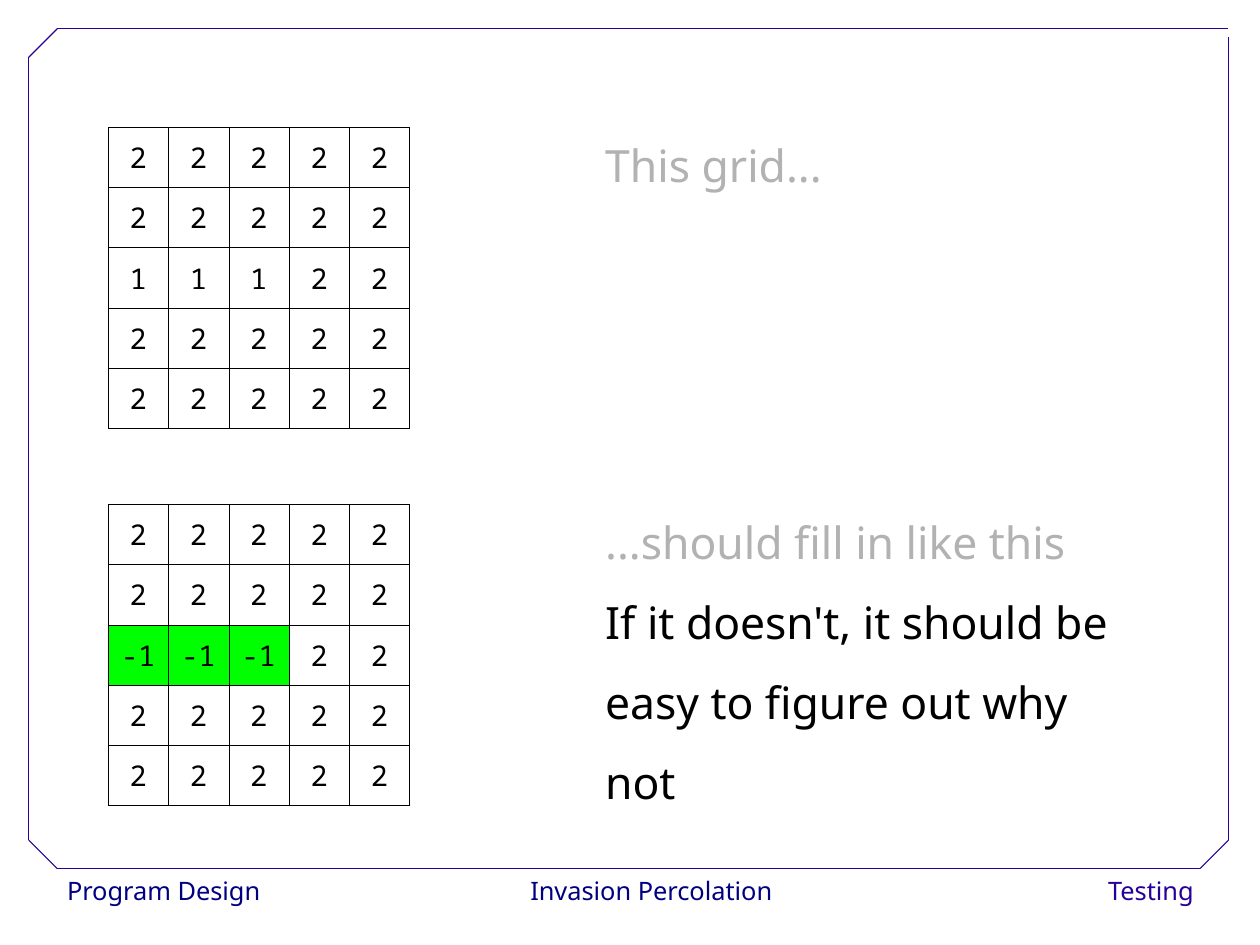
import pptx
import pptx.dml.color
import pptx.enum.shapes
import pptx.enum.text
import pptx.oxml.ns
import pptx.util
from lxml import etree

Cm = pptx.util.Cm
Pt = pptx.util.Pt
RGBColor = pptx.dml.color.RGBColor
Align = pptx.enum.text.PP_ALIGN

WHITE = RGBColor(0xFF, 0xFF, 0xFF)
BLACK = RGBColor(0x00, 0x00, 0x00)
GREY = RGBColor(0xB2, 0xB2, 0xB2)
NAVY = RGBColor(0x00, 0x00, 0x80)
PURPLE = RGBColor(0x28, 0x00, 0x99)
GREEN = RGBColor(0x00, 0xFF, 0x00)

LEFT, TOP, RIGHT, BOTTOM = 0.64, 0.64, 27.3, 19.3
CUT = 0.63
CELL = 1.34


class Deck:
    font = "Noto Sans"
    mono = "Noto Sans Mono"

    def __init__(self, width, height):
        self.prs = pptx.Presentation()
        self.prs.slide_width = Cm(width)
        self.prs.slide_height = Cm(height)
        self.slide = self.prs.slides.add_slide(self.prs.slide_layouts[6])

    def style(self, p, size, color, font, align=Align.LEFT, spacing=1.02):
        p.alignment = align
        p.line_spacing = spacing
        for r in p.runs:
            r.font.size = Pt(size)
            r.font.name = font
            r.font.color.rgb = color

    def footer(self, text, x, width, align, color):
        sp = self.slide.shapes.add_shape(
            pptx.enum.shapes.MSO_SHAPE.RECTANGLE,
            Cm(x), Cm(BOTTOM), Cm(width), Cm(1.02))
        sp.shadow.inherit = False
        sp.fill.solid()
        sp.fill.fore_color.rgb = WHITE
        sp.line.fill.background()
        tf = sp.text_frame
        tf.word_wrap = False
        tf.vertical_anchor = pptx.enum.text.MSO_ANCHOR.TOP
        tf.text = text
        self.style(tf.paragraphs[0], 16, color, self.font, align)

    def line(self, x1, y1, x2, y2):
        cxn = self.slide.shapes.add_connector(
            pptx.enum.shapes.MSO_CONNECTOR.STRAIGHT,
            Cm(x1), Cm(y1), Cm(x2), Cm(y2))
        cxn.line.color.rgb = PURPLE
        cxn.line.width = Pt(0.75)
        etree.SubElement(cxn._element.spPr, pptx.oxml.ns.qn("a:effectLst"))

    def text(self, x, y, width, height, lines):
        """Add a text box from (text, colour) pairs, one per paragraph."""
        box = self.slide.shapes.add_textbox(Cm(x), Cm(y), Cm(width), Cm(height))
        tf = box.text_frame
        tf.word_wrap = True
        tf.auto_size = pptx.enum.text.MSO_AUTO_SIZE.SHAPE_TO_FIT_TEXT
        tf.text = "\n".join(text for text, _ in lines)
        for p, (_, color) in zip(tf.paragraphs, lines):
            self.style(p, 28, color, self.font, spacing=1.5)

    def border(self, cell):
        qn = pptx.oxml.ns.qn
        tc_pr = cell._tc.get_or_add_tcPr()
        for side in ("a:lnL", "a:lnR", "a:lnT", "a:lnB"):
            ln = etree.SubElement(tc_pr, qn(side), w=str(Pt(0.06)))
            fill = etree.SubElement(ln, qn("a:solidFill"))
            etree.SubElement(fill, qn("a:srgbClr"), val=str(BLACK))

    def grid(self, x, y, values):
        """Add a table of square cells; negative values are filled green."""
        rows, cols = len(values), len(values[0])
        table = self.slide.shapes.add_table(
            rows, cols, Cm(x), Cm(y), Cm(cols * CELL), Cm(rows * CELL)).table
        table.first_row = False
        table.horz_banding = False
        for band in (*table.columns, *table.rows):
            if band in table.columns:
                band.width = Cm(CELL)
            else:
                band.height = Cm(CELL)
        for i, row in enumerate(values):
            for j, value in enumerate(row):
                cell = table.cell(i, j)
                cell.vertical_anchor = pptx.enum.text.MSO_ANCHOR.MIDDLE
                self.border(cell)
                if value < 0:
                    cell.fill.solid()
                    cell.fill.fore_color.rgb = GREEN
                else:
                    cell.fill.background()
                cell.text_frame.text = str(value)
                self.style(cell.text_frame.paragraphs[0], 18, BLACK,
                           self.mono, Align.CENTER)


def grid_values(filled):
    """Return a 5 by 5 grid of 2s with three filled cells in the middle row."""
    plain = [2] * 5
    return [plain, plain, [filled] * 3 + [2] * 2, plain, plain]


def main():
    deck = Deck(28, 21)

    deck.footer("Program Design", 1.24, 4.57, Align.LEFT, NAVY)
    deck.footer("Invasion Percolation", 11.63, 5.69, Align.CENTER, NAVY)
    deck.footer("Testing", 23.22, 3.56, Align.RIGHT, PURPLE)

    deck.line(LEFT + CUT, BOTTOM, RIGHT - CUT, BOTTOM)
    deck.line(LEFT, BOTTOM - CUT, LEFT, TOP + CUT)
    deck.line(LEFT + CUT, TOP, RIGHT, TOP)
    deck.line(RIGHT, BOTTOM - CUT, RIGHT, TOP + 0.18)
    deck.line(LEFT, TOP + CUT, LEFT + CUT, TOP)
    deck.line(RIGHT - CUT, BOTTOM, RIGHT, BOTTOM - CUT)
    deck.line(LEFT, BOTTOM - CUT, LEFT + CUT, BOTTOM)

    deck.grid(2.4, 2.82, grid_values(1))
    deck.text(13.2, 2.34, 12.34, 2.03, [("This grid...", GREY)])
    deck.grid(2.4, 11.2, grid_values(-1))
    deck.text(13.2, 10.72, 12.34, 7.37, [
        ("...should fill in like this", GREY),
        ("If it doesn't, it should be", BLACK),
        ("easy to figure out why not", BLACK),
    ])

    deck.prs.save("out.pptx")


if __name__ == "__main__":
    main()
